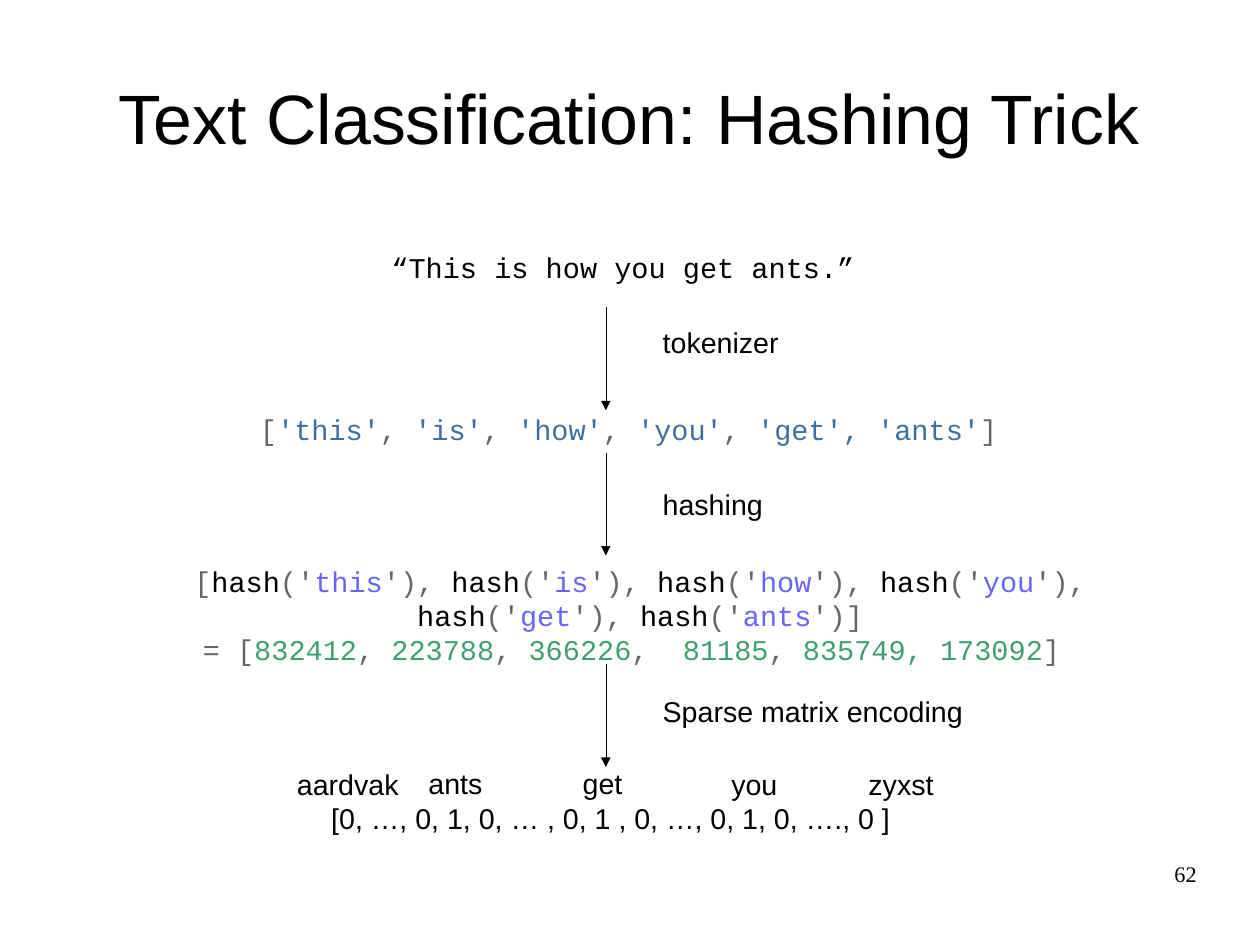
from dataclasses import dataclass

from lxml.etree import SubElement
from pptx import Presentation
from pptx.dml.color import RGBColor
from pptx.enum.shapes import MSO_CONNECTOR as Connector
from pptx.enum.text import MSO_ANCHOR as Anchor, PP_ALIGN as Align
from pptx.oxml.ns import qn
from pptx.slide import Slide
from pptx.util import Inches, Pt

BLACK = RGBColor(0x00, 0x00, 0x00)
GREY = RGBColor(0x66, 0x66, 0x66)
BLUE = RGBColor(0x40, 0x70, 0xA0)
VIOLET = RGBColor(0x66, 0x66, 0xFF)
GREEN = RGBColor(0x40, 0xA0, 0x70)

CM_PER_INCH = 2.54
SANS, MONO, SERIF = "Arial", "Courier New", "Times New Roman"
WORDS = ("this", "is", "how", "you", "get", "ants")
ARROW_X, ARROW_LENGTH = 5.3, 0.9
ARROW_TOPS = (2.69, 3.96, 5.81)

Line = list[tuple[str, RGBColor]]


@dataclass
class TextBox:
    left: float
    top: float
    width: float
    height: float
    lines: list[Line]
    font: str = SANS
    size: float = 18
    align: Align = Align.LEFT
    anchor: Anchor = Anchor.TOP
    padded: bool = False


def label(left: float, top: float, width: float, text: str) -> TextBox:
    return TextBox(left, top, width, 0.38, [[(text, BLACK)]], padded=True)


def code(left: float, top: float, width: float, height: float, *lines: Line) -> TextBox:
    return TextBox(left, top, width, height, list(lines), MONO, align=Align.CENTER)


def token_line() -> Line:
    line = [("[", GREY)]
    for word in WORDS[:-2]:
        line += [(f"'{word}'", BLUE), (", ", GREY)]
    return line + [("'get', 'ants'", BLUE), ("]", GREY)]


def hash_line() -> Line:
    line = [("[", GREY)]
    for word in WORDS:
        closing = "')]" if word == WORDS[-1] else "'), "
        line += [("hash", BLACK), ("('", GREY), (word, VIOLET), (closing, GREY)]
    return line


def value_line() -> Line:
    return [
        ("= [", GREY), ("832412", GREEN), (", ", GREY), ("223788", GREEN),
        (", ", GREY), ("366226", GREEN), (",  ", GREY), ("81185", GREEN),
        (", ", GREY), ("835749, 173092", GREEN), ("] ", GREY),
    ]


TEXT_BOXES = [
    TextBox(0.55, 0.33, 9.92, 1.38, [[("Text Classification: Hashing Trick", BLACK)]],
            size=44, align=Align.CENTER, anchor=Anchor.MIDDLE),
    code(3.1, 2.19, 4.7, 0.29, [("“This is how you get ants.”", BLACK)]),
    code(2.1, 3.6, 6.8, 0.29, token_line()),
    code(1, 4.93, 9.2, 1.14, hash_line(), value_line()),
    label(5.7, 2.79, 1.7, "tokenizer"),
    label(5.7, 4.21, 4.7, "hashing"),
    label(5.7, 6.02, 3.1, "Sparse matrix encoding"),
    label(2.5, 6.66, 1.1, "aardvak"),
    label(3.65, 6.65, 1, "ants"),
    label(5, 6.65, 0.8, "get"),
    label(6.3, 6.66, 1.4, "you"),
    label(7.5, 6.66, 0.9, "zyxst"),
    label(2.8, 6.96, 5.1, "[0, …, 0, 1, 0, … , 0, 1 , 0, …, 0, 1, 0, …., 0 ]"),
    TextBox(7.9, 7.53, 2.57, 0.57, [[("62", BLACK)]], SERIF, 14, Align.RIGHT),
]


def add_text_box(slide: Slide, box: TextBox) -> None:
    shape = slide.shapes.add_textbox(
        Inches(box.left), Inches(box.top), Inches(box.width), Inches(box.height))
    frame = shape.text_frame
    side, edge = (0.1, 0.05) if box.padded else (0, 0)
    frame_format = {
        "word_wrap": True,
        "vertical_anchor": box.anchor,
        "margin_left": Inches(side),
        "margin_right": Inches(side),
        "margin_top": Inches(edge),
        "margin_bottom": Inches(edge),
    }
    for name, value in frame_format.items():
        setattr(frame, name, value)
    for index, line in enumerate(box.lines):
        paragraph = frame.add_paragraph() if index else frame.paragraphs[0]
        paragraph.alignment = box.align
        for text, color in line:
            run = paragraph.add_run()
            run.text = text
            for name, value in {"name": box.font, "size": Pt(box.size)}.items():
                setattr(run.font, name, value)
            run.font.color.rgb = color


def add_arrow(slide: Slide, top: float) -> None:
    arrow = slide.shapes.add_connector(
        Connector.STRAIGHT, Inches(ARROW_X), Inches(top),
        Inches(ARROW_X), Inches(top + ARROW_LENGTH))
    arrow.line.color.rgb = BLACK
    outline = arrow.line._get_or_add_ln()
    outline.set("w", "0")
    SubElement(outline, qn("a:tailEnd"), type="triangle")
    SubElement(arrow._element.spPr, qn("a:effectLst"))


def main() -> None:
    presentation = Presentation()
    presentation.slide_width = Inches(28 / CM_PER_INCH)
    presentation.slide_height = Inches(21 / CM_PER_INCH)
    slide = presentation.slides.add_slide(presentation.slide_layouts[6])
    for box in TEXT_BOXES:
        add_text_box(slide, box)
    for top in ARROW_TOPS:
        add_arrow(slide, top)
    presentation.save("out.pptx")


if __name__ == "__main__":
    main()
